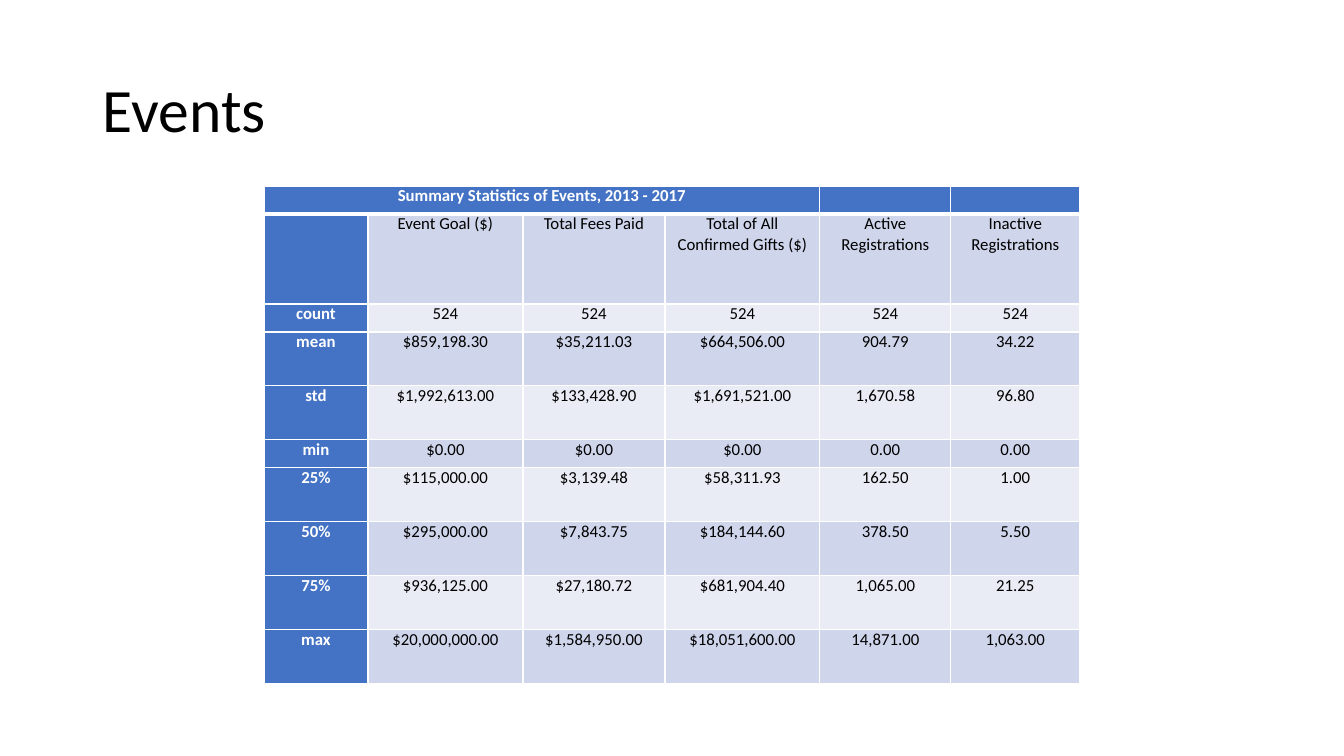
from lxml.etree import SubElement
from pptx import Presentation
from pptx.dml.color import RGBColor
from pptx.enum.text import MSO_ANCHOR, PP_ALIGN
from pptx.oxml.ns import qn
from pptx.util import Emu, Pt

BLUE = RGBColor(0x44, 0x72, 0xC4)
DARK_BAND = RGBColor(0xCF, 0xD5, 0xEA)
LIGHT_BAND = RGBColor(0xE9, 0xEB, 0xF5)
WHITE = RGBColor(0xFF, 0xFF, 0xFF)
BLACK = RGBColor(0, 0, 0)
SCALE = 12192000 / 1344

COLUMN_WIDTHS = [104, 155, 142, 155, 131, 129]
ROW_HEIGHTS = [28, 90, 28, 54, 54, 28, 54, 54, 54, 54]
ROWS = [
    ["Summary Statistics of Events, 2013 - 2017", "", "", "", "", ""],
    ["", "Event Goal ($)", "Total Fees Paid", "Total of All Confirmed Gifts ($)",
     "Active Registrations", "Inactive Registrations"],
    ["count", "524", "524", "524", "524", "524"],
    ["mean", "$859,198.30", "$35,211.03", "$664,506.00", "904.79", "34.22"],
    ["std", "$1,992,613.00", "$133,428.90", "$1,691,521.00", "1,670.58", "96.80"],
    ["min", "$0.00", "$0.00", "$0.00", "0.00", "0.00"],
    ["25%", "$115,000.00", "$3,139.48", "$58,311.93", "162.50", "1.00"],
    ["50%", "$295,000.00", "$7,843.75", "$184,144.60", "378.50", "5.50"],
    ["75%", "$936,125.00", "$27,180.72", "$681,904.40", "1,065.00", "21.25"],
    ["max", "$20,000,000.00", "$1,584,950.00", "$18,051,600.00", "14,871.00", "1,063.00"],
]


def px(length):
    return Emu(round(length * SCALE))


def add_border(cell, side, points):
    line = SubElement(cell._tc.get_or_add_tcPr(), qn(f"a:ln{side}"), w=str(Pt(points)))
    fill = SubElement(line, qn("a:solidFill"))
    SubElement(fill, qn("a:srgbClr"), val=str(WHITE))


presentation = Presentation()
presentation.slide_width = px(1344)
presentation.slide_height = px(756)
slide = presentation.slides.add_slide(presentation.slide_layouts[6])

title = slide.shapes.add_textbox(px(93), px(40), px(1159), px(146))
title.text_frame.word_wrap = True
title.text_frame.vertical_anchor = MSO_ANCHOR.MIDDLE
paragraph = title.text_frame.paragraphs[0]
paragraph.line_spacing = 0.9
run = paragraph.add_run()
run.text = "Events"
run.font.name = "Calibri"
run.font.size = Pt(44)
run.font.color.rgb = BLACK

table = slide.shapes.add_table(
    len(ROWS), len(COLUMN_WIDTHS), px(264), px(186), px(sum(COLUMN_WIDTHS)), px(sum(ROW_HEIGHTS))
).table
for column, width in zip(table.columns, COLUMN_WIDTHS):
    column.width = px(width)
for row, height in zip(table.rows, ROW_HEIGHTS):
    row.height = px(height)
table.cell(0, 0).merge(table.cell(0, 3))

cell_format = {"margin_left": px(7), "margin_right": px(7), "margin_top": 0, "margin_bottom": 0}
for row_index, values in enumerate(ROWS):
    for column_index, value in enumerate(values):
        cell = table.cell(row_index, column_index)
        is_header = row_index == 0 or column_index == 0
        for name, setting in cell_format.items():
            setattr(cell, name, setting)
        add_border(cell, "L", 1)
        add_border(cell, "R", 1)
        add_border(cell, "T", 3 if row_index == 1 else 1)
        add_border(cell, "B", 3 if row_index == 0 else 1)
        cell.fill.solid()
        band = DARK_BAND if row_index % 2 else LIGHT_BAND
        cell.fill.fore_color.rgb = BLUE if is_header else band
        paragraph = cell.text_frame.paragraphs[0]
        paragraph.alignment = PP_ALIGN.CENTER
        if not value:
            SubElement(paragraph._p, qn("a:endParaRPr"), sz="1200")
            continue
        run = paragraph.add_run()
        run.text = value
        font_format = {"name": "Calibri", "size": Pt(12), "bold": is_header}
        for name, setting in font_format.items():
            setattr(run.font, name, setting)
        run.font.color.rgb = WHITE if is_header else BLACK

presentation.save("out.pptx")
